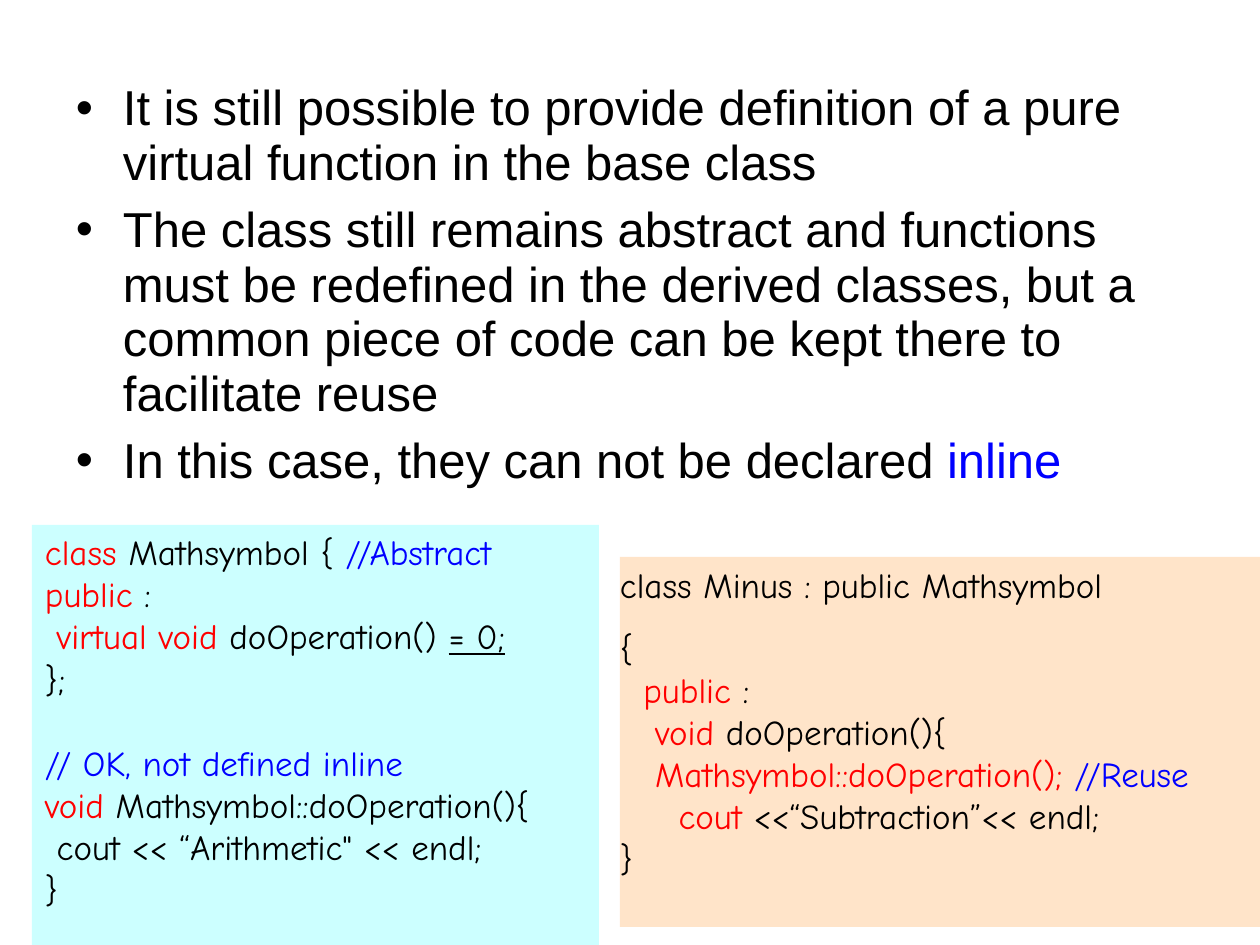
from copy import deepcopy
from pptx import Presentation
from pptx.dml.color import RGBColor
from pptx.enum.shapes import MSO_SHAPE
from pptx.enum.text import MSO_ANCHOR, PP_ALIGN
from pptx.oxml.ns import qn
from pptx.util import Pt
from lxml.etree import SubElement

SCALE = 914400 / 126
HUES = {
    "black": "000000",
    "red": "FF0000",
    "blue": "0000FF",
    "cyan": "CCFFFF",
    "peach": "FFE4C9",
}


def px(num):
    return round(num * SCALE)


class Deck:
    body = ("Arial", 28)
    code = ("Comic Neue", 20)

    def __init__(self, wide, high):
        self.prs = Presentation()
        self.prs.slide_width = px(wide)
        self.prs.slide_height = px(high)
        self.slide = self.prs.slides.add_slide(self.prs.slide_layouts[6])

    def hue(self, name):
        return RGBColor.from_string(HUES[name])

    def frame(self, shape, side, top):
        frame = shape.text_frame
        frame.word_wrap = True
        frame.vertical_anchor = MSO_ANCHOR.TOP
        frame.margin_left = frame.margin_right = px(side)
        frame.margin_top = frame.margin_bottom = px(top)
        return frame

    def words(self, para, parts, style):
        para.alignment = PP_ALIGN.LEFT
        for text, tone, *line in parts:
            for i, piece in enumerate(text.split("\n")):
                if i:
                    para.add_line_break()
                    para._p[-1].append(deepcopy(run._r.rPr))
                if piece:
                    run = para.add_run()
                    run.text = piece
                    font = run.font
                    font.name, font.size = style[0], Pt(style[1])
                    font.color.rgb = self.hue(tone)
                    if line:
                        font.underline = True

    def fill(self, frame, paras, style, gap):
        for i, parts in enumerate(paras):
            para = frame.add_paragraph() if i else frame.paragraphs[0]
            para.space_before = Pt(gap if i else 0)
            self.words(para, parts, style)

    def bullets(self, box, paras):
        shape = self.slide.shapes.add_textbox(*map(px, box))
        frame = self.frame(shape, 13, 9)
        self.fill(frame, paras, self.body, 7)
        for para in frame.paragraphs:
            para.line_spacing = 0.93
            props = para._p.get_or_add_pPr()
            props.set("marL", str(px(47)))
            props.set("indent", str(-px(47)))
            tint = SubElement(props, qn("a:buClr"))
            SubElement(tint, qn("a:srgbClr"), val=HUES["black"])
            SubElement(props, qn("a:buFont"), typeface="Arial")
            SubElement(props, qn("a:buChar"), char="•")

    def panel(self, box, tone, paras, side=0, gap=0):
        shape = self.slide.shapes.add_shape(MSO_SHAPE.RECTANGLE, *map(px, box))
        shape.shadow.inherit = False
        shape.fill.solid()
        shape.fill.fore_color.rgb = self.hue(tone)
        shape.line.fill.background()
        self.fill(self.frame(shape, side, 6), paras, self.code, gap)


POINTS = [
    [("It is still possible to provide definition of a pure virtual "
      "function in the base class", "black")],
    [("The class still remains abstract and functions must be redefined "
      "in the derived classes, but a common piece of code can be kept "
      "there to facilitate reuse", "black")],
    [("In this case, they can not be declared ", "black"),
     ("inline", "blue")],
]
BASE = [
    [("class", "red"), (" Mathsymbol { ", "black"),
     ("//Abstract \n", "blue"),
     ("public", "red"), (" :\n ", "black"),
     ("virtual void ", "red"), ("doOperation() ", "black"),
     ("= 0;", "black", "under")],
    [("};\n\n", "black"), ("// OK, not defined inline", "blue")],
    [("void", "red"),
     (" Mathsymbol::doOperation(){\n cout << “Arithmetic\" << endl;\n}",
      "black")],
]
MINUS = [
    [("class Minus : public Mathsymbol", "black")],
    [("{\n  ", "black"), ("public", "red"), (" :\n   ", "black"),
     ("void", "red"), (" doOperation(){\n   ", "black"),
     ("Mathsymbol::doOperation(); ", "red"), ("//Reuse\n     ", "blue"),
     ("cout", "red"), (" <<“Subtraction”<< endl;\n}", "black")],
]


def main():
    deck = Deck(1260, 945)
    deck.bullets((63, 73, 1144, 441), POINTS)
    deck.panel((32, 525, 567, 517), "cyan", BASE, side=13)
    deck.panel((620, 557, 640, 370), "peach", MINUS, gap=12.5)
    deck.prs.save("out.pptx")


if __name__ == "__main__":
    main()
